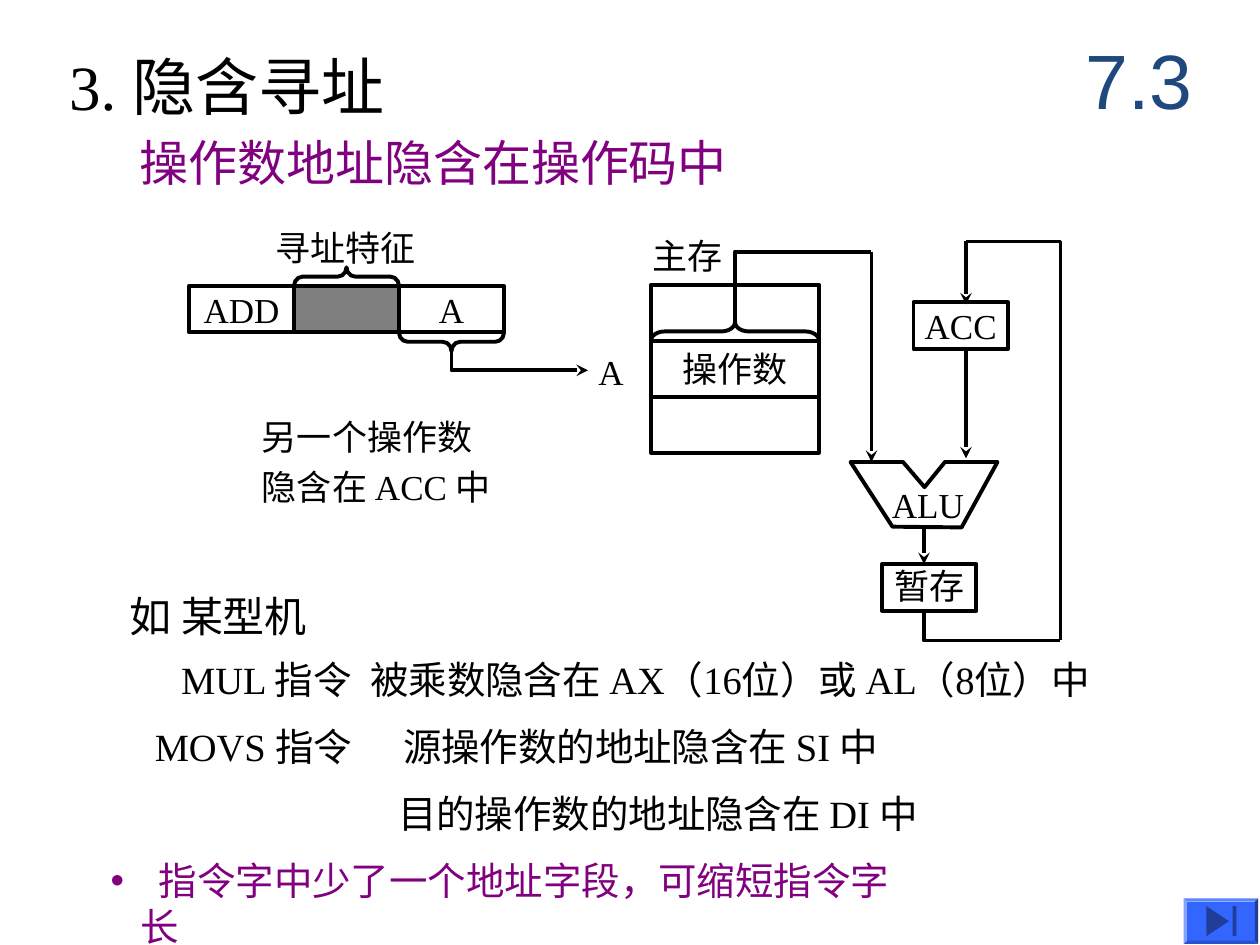
from pptx import Presentation
from pptx.dml.color import RGBColor
from pptx.enum.shapes import MSO_CONNECTOR, MSO_SHAPE
from pptx.enum.text import MSO_ANCHOR, MSO_AUTO_SIZE, PP_ALIGN
from pptx.oxml.ns import qn
from pptx.util import Pt
from lxml.etree import SubElement

SERIF = "Times New Roman"
BLACK, PURPLE, NAVY, BLUE, DARK_BLUE = "000000", "800080", "1F497D", "3366FF", "1F3D99"
LINE_WIDTH = 2.25


def colour(value):
    return RGBColor.from_string(value)


def write(frame, text, size=20, font=SERIF, ink=BLACK, align=PP_ALIGN.LEFT,
          anchor=MSO_ANCHOR.TOP, wrap=False, grow=False, spacing=None,
          inset_top=3.6, bullet=False):
    """Fill a text frame, one paragraph for each line of text."""
    frame.word_wrap = wrap
    frame.auto_size = MSO_AUTO_SIZE.SHAPE_TO_FIT_TEXT if grow else MSO_AUTO_SIZE.NONE
    frame.vertical_anchor = anchor
    frame.margin_left = frame.margin_right = Pt(7.2)
    frame.margin_top, frame.margin_bottom = Pt(inset_top), Pt(3.6)
    for index, line in enumerate(text.split("\n")):
        para = frame.add_paragraph() if index else frame.paragraphs[0]
        para.alignment = align
        if spacing:
            para.line_spacing = spacing
        if bullet:
            add_bullet(para, ink)
        span = para.add_run()
        span.text = line
        span.font.name, span.font.size = font, Pt(size)
        span.font.color.rgb = colour(ink)


def add_bullet(para, ink, hang=17, text_start=27.5):
    props = para._p.get_or_add_pPr()
    props.set("marL", str(Pt(hang)))
    props.set("indent", str(-Pt(hang)))
    SubElement(SubElement(props, qn("a:buClr")), qn("a:srgbClr"), val=ink)
    SubElement(props, qn("a:buFont"), typeface="Arial")
    SubElement(props, qn("a:buChar"), char="•")
    SubElement(SubElement(props, qn("a:tabLst")), qn("a:tab"),
               pos=str(Pt(text_start)), algn="l")


def label(page, left, top, width, height, text, **style):
    box = page.shapes.add_textbox(Pt(left), Pt(top), Pt(width), Pt(height))
    write(box.text_frame, text, grow=True, **style)


def outline(shape):
    shape.shadow.inherit = False
    shape.fill.background()
    shape.line.color.rgb = colour(BLACK)
    shape.line.width = Pt(LINE_WIDTH)


def solid(page, kind, left, top, width, height, fill):
    """Filled preset shape without a line."""
    shape = page.shapes.add_shape(kind, Pt(left), Pt(top), Pt(width), Pt(height))
    shape.shadow.inherit = False
    shape.fill.solid()
    shape.fill.fore_color.rgb = colour(fill)
    shape.line.fill.background()
    return shape


def cell(page, left, top, width, height, text="", shade=False, **style):
    box = page.shapes.add_shape(MSO_SHAPE.RECTANGLE, Pt(left), Pt(top), Pt(width), Pt(height))
    outline(box)
    if shade:
        box.fill.solid()
        box.fill.fore_color.rgb = colour(BLACK)
        tint = box._element.spPr.find(qn("a:solidFill"))[0]
        SubElement(tint, qn("a:alpha"), val="50000")
    if text:
        write(box.text_frame, text, align=PP_ALIGN.CENTER, anchor=MSO_ANCHOR.MIDDLE, **style)


def brace(page, left, top, span, rotation, curve, depth=10.6):
    """Horizontal brace whose visible box starts at left, top."""
    shape = page.shapes.add_shape(
        MSO_SHAPE.LEFT_BRACE, Pt(left + (span - depth) / 2),
        Pt(top + (depth - span) / 2), Pt(depth), Pt(span))
    shape.rotation = rotation
    shape.adjustments[0] = curve
    outline(shape)


def arrowhead(shape):
    SubElement(shape.line._get_or_add_ln(), qn("a:tailEnd"), type="stealth")


def arrow(page, x, top, bottom):
    link = page.shapes.add_connector(MSO_CONNECTOR.STRAIGHT, Pt(x), Pt(top), Pt(x), Pt(bottom))
    link.line.color.rgb = colour(BLACK)
    link.line.width = Pt(LINE_WIDTH)
    SubElement(link._element.spPr, qn("a:effectLst"))
    arrowhead(link)


def polyline(page, points, close=False, head=False):
    corners = [(Pt(x), Pt(y)) for x, y in points]
    builder = page.shapes.build_freeform(*corners[0], scale=1.0)
    builder.add_line_segments(corners[1:], close=close)
    shape = builder.convert_to_shape()
    outline(shape)
    if head:
        arrowhead(shape)


def headings(page, left, top):
    title = page.shapes.title
    title.left, title.top, title.width, title.height = Pt(606), Pt(12), Pt(90), Pt(66)
    write(title.text_frame, "7.3", size=44, font="Arial", ink=NAVY, wrap=True,
          align=PP_ALIGN.CENTER, anchor=MSO_ANCHOR.MIDDLE)
    label(page, left, top, 203, 50.4, "3. 隐含寻址", size=36)
    label(page, left + 40.3, top + 48.2, 350, 41, "操作数地址隐含在操作码中", size=28, ink=PURPLE)


def instruction_word(page, left, top, width=60, height=26.6):
    for index, text in enumerate(("ADD", "", "A")):
        cell(page, left + index * width, top, width, height, text, shade=not text)
    brace(page, left + width, top - 10.6, width, 90, 0.47)
    label(page, left + 42.5, top - 37.4, 94.3, 31.7, "寻址特征")
    bottom = top + height
    brace(page, left + 2 * width, bottom, width, 270, 0.47)
    # Address arrow to main memory
    middle = left + 2.5 * width
    polyline(page, [(middle, bottom + 10.8), (middle, bottom + 21.6),
                    (middle + 78, bottom + 21.6)], head=True)
    label(page, left + 226.8, top + 33.2, 28.8, 31.7, "A")
    label(page, left + 34.6, top + 65.6, 199.4, 64.8, "另一个操作数\n隐含在 ACC 中",
          spacing=1.2, wrap=True)


def main_memory(page, left, top, width=96, height=32):
    for index, text in enumerate(("", "操作数", "")):
        cell(page, left, top + index * height, width, height, text)
    label(page, left - 6.2, top - 32.4, 57, 31.7, "主存")
    brace(page, left, top + height - 10.6, width, 90, 0.74)


def datapath(page, left, top):
    acc_x, alu_x, bus_x = left + 66, left + 42, left + 120
    alu_top = top + 126
    # Registers
    cell(page, left + 36, top + 34.8, 54, 26.6, "ACC")
    cell(page, left + 18, top + 184.4, 54, 26.6, "暂存", inset_top=1.4)
    # Arithmetic unit
    notched = [(0, 0), (30, 0), (42.3, 14.4), (54, 0), (84, 0), (63.5, 37.4), (24, 37)]
    polyline(page, [(left + x, alu_top + y) for x, y in notched], close=True)
    label(page, left + 16.6, alu_top + 8.8, 55.4, 31.7, "ALU")
    # Operand from memory
    polyline(page, [(left - 66, top + 47.6), (left - 66, top + 5.8), (left + 12, top + 5.8)])
    arrow(page, left + 12, top + 5.8, alu_top)
    # Accumulator, result and feedback
    arrow(page, acc_x, top + 61.4, top + 124)
    arrow(page, alu_x, alu_top + 37, top + 184.4)
    polyline(page, [(alu_x, top + 210), (alu_x, top + 228), (bus_x, top + 228)])
    polyline(page, [(bus_x, top + 228), (bus_x, top), (acc_x, top)])
    arrow(page, acc_x, top, top + 36)


def examples(page, left, top, pitch=38.2):
    label(page, left, top, 130, 36, "如 某型机", size=24)
    rows = [
        (0, 29.5, 117.4, "MUL 指令", False),
        (0, 137.5, 468, "被乘数隐含在 AX（16位）或 AL（8位）中", False),
        (1, 14.4, 132.5, "MOVS 指令", False),
        (1, 156.2, 322.6, "源操作数的地址隐含在 SI 中", True),
        (2, 153.4, 321.8, "目的操作数的地址隐含在 DI 中", False),
    ]
    for row, offset, width, text, wrap in rows:
        label(page, left + offset, top + 37.4 + row * pitch, width, 33.8, text,
              size=22, wrap=wrap)
    label(page, left - 10.8, top + 37.4 + 3 * pitch, 470.9, 33.8,
          "\t指令字中少了一个地址字段，可缩短指令字长",
          size=22, ink=PURPLE, wrap=True, bullet=True)


def end_button(page, left, top):
    button = solid(page, MSO_SHAPE.BEVEL, left, top, 42.5, 26, BLUE)
    button.adjustments[0] = 0.07
    # Icon: triangle and bar
    triangle = solid(page, MSO_SHAPE.ISOSCELES_TRIANGLE, left + 10.8, top + 6.5, 17.2, 13, DARK_BLUE)
    triangle.rotation = 90
    solid(page, MSO_SHAPE.RECTANGLE, left + 28, top + 4.4, 2.2, 17.2, DARK_BLUE)


def main():
    deck = Presentation()
    deck.slide_width, deck.slide_height = Pt(720), Pt(540)
    page = deck.slides.add_slide(deck.slide_layouts[5])
    headings(page, 32.4, 23.8)
    instruction_word(page, 108, 163.4)
    main_memory(page, 372, 162.7)
    datapath(page, 486, 138)
    examples(page, 67, 334.1)
    end_button(page, 676.4, 513.4)
    deck.save("out.pptx")


if __name__ == "__main__":
    main()
